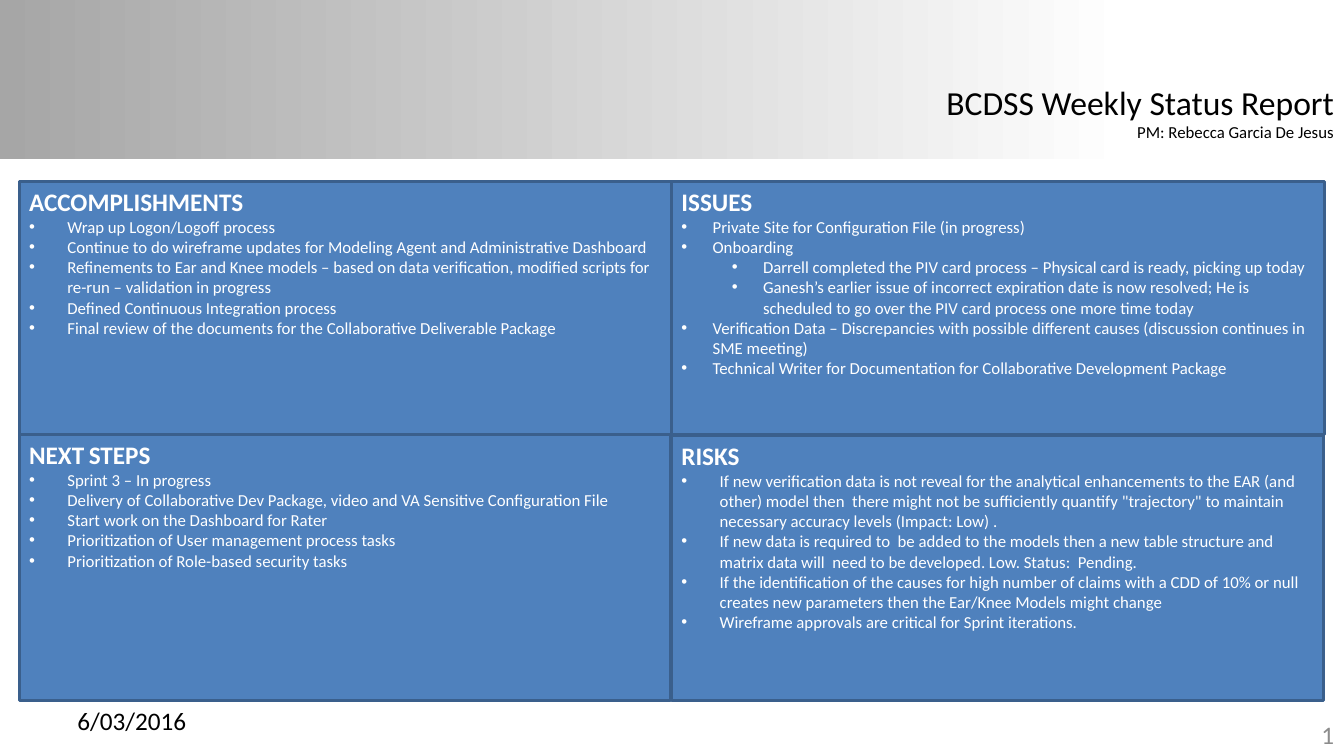
from lxml.etree import SubElement
from pptx import Presentation
from pptx.dml.color import RGBColor
from pptx.enum.shapes import MSO_SHAPE
from pptx.enum.text import MSO_ANCHOR, PP_ALIGN
from pptx.oxml.ns import qn
from pptx.util import Inches, Pt


def rgb(value):
    return RGBColor.from_string(value)


class StatusSlide:
    FONT = "Calibri"
    PANEL, BORDER, BLACK, WHITE = "4F81BD", "3A5F8C", "000000", "FFFFFF"
    HEADING = {"size": Pt(18), "bold": True}
    BODY = {"size": Pt(12), "bold": False}

    def __init__(self, prs):
        self.s = prs.slides.add_slide(prs.slide_layouts[6])

    def run(self, p, text, color, formats):
        r = p.add_run()
        r.text = text
        for name, value in {"name": self.FONT, **formats}.items():
            setattr(r.font, name, value)
        r.font.color.rgb = rgb(color)

    def rectangle(self, box):
        sp = self.s.shapes.add_shape(MSO_SHAPE.RECTANGLE, *map(Inches, box))
        sp.shadow.inherit = False
        return sp

    def banner(self, box, start, end, end_at):
        sp = self.rectangle(box)
        sp.line.fill.background()
        sp.fill.gradient()
        sp.fill.gradient_angle = 0
        for stop, color, position in zip(sp.fill.gradient_stops, (start, end), (0, end_at)):
            stop.color.rgb = rgb(color)
            stop.position = position

    def text(self, box, lines, align=PP_ALIGN.LEFT, color=BLACK,
             anchor=MSO_ANCHOR.MIDDLE, wrap=True):
        tf = self.s.shapes.add_textbox(*map(Inches, box)).text_frame
        tf.word_wrap = wrap
        tf.vertical_anchor = anchor
        for i, (line, size) in enumerate(lines):
            p = tf.paragraphs[0] if i == 0 else tf.add_paragraph()
            p.alignment = align
            self.run(p, line, color, {"size": Pt(size)})

    def bullet(self, tf, text, level, hang):
        p = tf.add_paragraph()
        p.level = level
        p.alignment = PP_ALIGN.LEFT
        pPr = p._p.get_or_add_pPr()
        pPr.set("marL", str(Inches(hang + 0.5 * level)))
        pPr.set("indent", str(-Inches(hang)))
        SubElement(pPr, qn("a:buFont"), typeface="Arial")
        SubElement(pPr, qn("a:buChar"), char="•")
        self.run(p, text, self.WHITE, self.BODY)

    def panel(self, box, heading, items, hang=0.38):
        sp = self.rectangle(box)
        sp.fill.solid()
        sp.fill.fore_color.rgb = rgb(self.PANEL)
        sp.line.color.rgb = rgb(self.BORDER)
        sp.line.width = Pt(2)
        tf = sp.text_frame
        tf.word_wrap = True
        tf.vertical_anchor = MSO_ANCHOR.TOP
        p = tf.paragraphs[0]
        p.alignment = PP_ALIGN.LEFT
        for text, formats in heading:
            self.run(p, text, self.WHITE, {**self.HEADING, **formats})
        for level, text in items:
            self.bullet(tf, text, level, hang)


prs = Presentation()
prs.slide_width, prs.slide_height = Inches(13.33), Inches(7.5)
status = StatusSlide(prs)

# Banner, footer and title
status.banner((0, 0, 13.33, 1.58), "A6A6A6", "FFFFFF", 0.84)
status.text((10.22, 7.09, 3.11, 0.4), [("1", 18)], PP_ALIGN.RIGHT, "8C8C8C")
status.text((0.67, 6.95, 3.11, 0.4), [("6/03/2016", 18)])
status.text((9.25, 0.76, 4.08, 0.71),
            [("BCDSS Weekly Status Report", 24), ("PM: Rebecca Garcia De Jesus", 12)],
            PP_ALIGN.RIGHT, anchor=MSO_ANCHOR.TOP, wrap=False)

# Four status panels; the lower left one overlaps the upper left one
status.panel((0.19, 1.8, 6.47, 3.43), [("ACCOMPLISHMENTS", {})], [
    (0, "Wrap up Logon/Logoff process"),
    (0, "Continue to do wireframe updates for Modeling Agent and Administrative Dashboard"),
    (0, "Refinements to Ear and Knee models – based on data verification, modified scripts "
        "for re-run – validation in progress"),
    (0, "Defined Continuous Integration process"),
    (0, "Final review of the documents for the Collaborative Deliverable Package"),
])
status.panel((0.19, 4.31, 6.46, 2.64), [("NEXT", {}), (" ", {"size": Pt(14)}), ("STEPS", {})], [
    (0, "Sprint 3 – In progress"),
    (0, "Delivery of Collaborative Dev Package, video and VA Sensitive Configuration File"),
    (0, "Start work on the Dashboard for Rater"),
    (0, "Prioritization of User management process tasks"),
    (0, "Prioritization of Role-based security tasks"),
])
status.panel((6.66, 1.8, 6.48, 2.51), [("ISSUES", {})], [
    (0, "Private Site for Configuration File (in progress)"),
    (0, "Onboarding"),
    (1, "Darrell completed the PIV card process – Physical card is ready, picking up today"),
    (1, "Ganesh’s earlier issue of incorrect expiration date is now resolved; He is "
        "scheduled to go over the PIV card process one more time today"),
    (0, "Verification Data – Discrepancies with possible different causes "
        "(discussion continues in SME meeting)"),
    (0, "Technical Writer for Documentation for Collaborative Development Package"),
], hang=0.31)
status.panel((6.66, 4.32, 6.47, 2.63), [("RISKS", {})], [
    (0, "If new verification data is not reveal for the analytical enhancements to the EAR "
        "(and other) model then  there might not be sufficiently quantify \"trajectory\" "
        "to maintain necessary accuracy levels (Impact: Low) ."),
    (0, "If new data is required to  be added to the models then a new table structure and "
        "matrix data will  need to be developed. Low. Status:  Pending."),
    (0, "If the identification of the causes for high number of claims with a CDD of 10% "
        "or null creates new parameters then the Ear/Knee Models might change"),
    (0, "Wireframe approvals are critical for Sprint iterations."),
])

prs.save("out.pptx")
